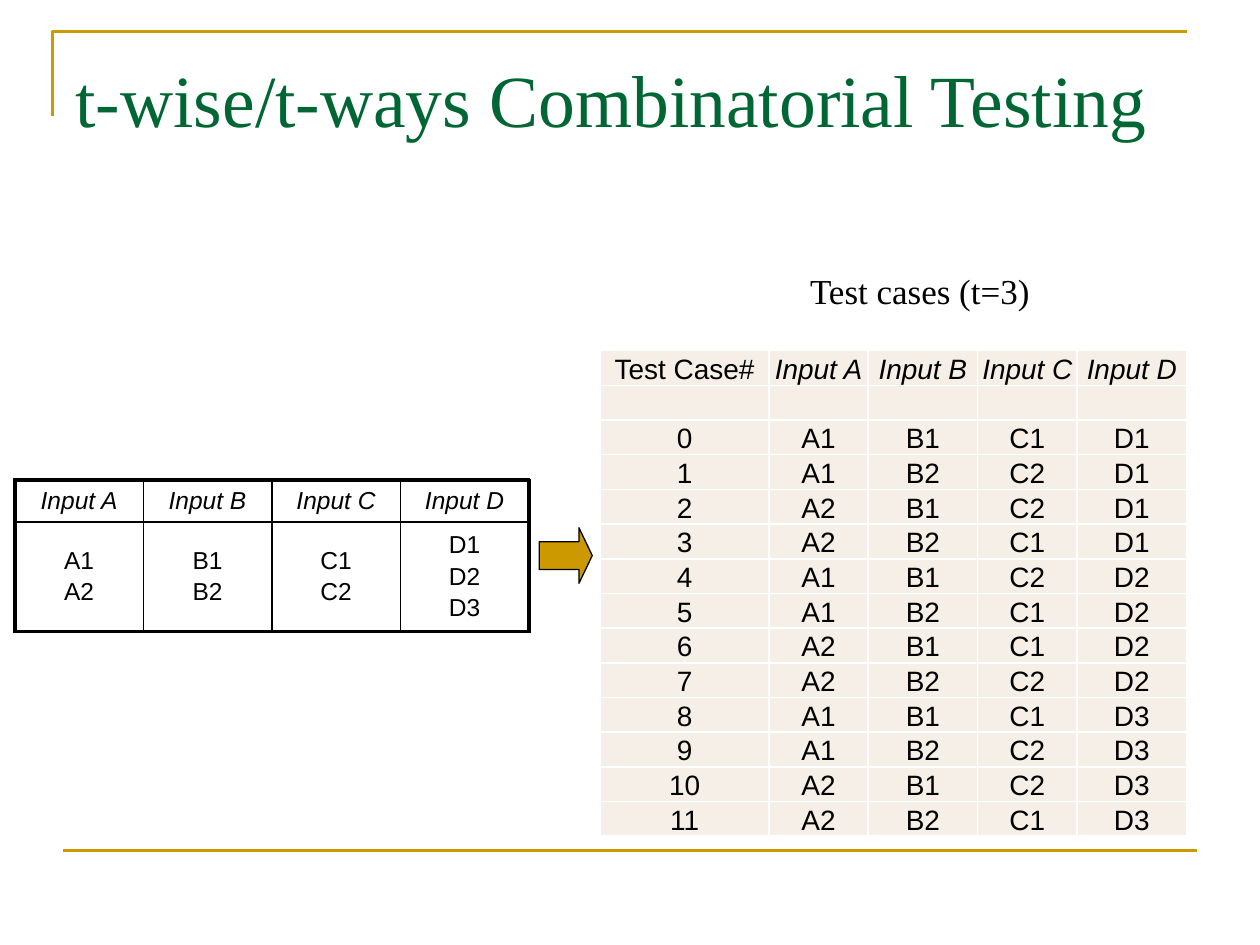
from lxml.etree import SubElement
from pptx import Presentation
from pptx.dml.color import RGBColor
from pptx.enum.shapes import MSO_CONNECTOR as Connector, MSO_SHAPE as Preset
from pptx.enum.text import MSO_ANCHOR as Anchor, MSO_AUTO_SIZE as AutoSize, PP_ALIGN as Align
from pptx.oxml.ns import qn
from pptx.util import Cm, Pt

GOLD = RGBColor(0xCC, 0x99, 0x00)
GREEN = RGBColor(0x00, 0x66, 0x33)
CREAM = RGBColor(0xF6, 0xEF, 0xE7)
BLACK = RGBColor(0x00, 0x00, 0x00)
WHITE = RGBColor(0xFF, 0xFF, 0xFF)
SERIF, SANS = "Times New Roman", "Arial"


def write(frame, text, size=16, font=SANS, color=BLACK, italic=False, align=Align.LEFT, gap=0):
    """Fill a text frame with one formatted paragraph per line of text."""
    for index, line in enumerate(text.split("\n")):
        paragraph = frame.add_paragraph() if index else frame.paragraphs[0]
        paragraph.alignment = align
        if index:
            paragraph.space_before = Pt(gap)
        if not line:
            SubElement(paragraph._p, qn("a:endParaRPr"), sz=str(size * 100))
            continue
        run = paragraph.add_run()
        run.text = line
        run.font.size, run.font.name = Pt(size), font
        run.font.italic = italic
        run.font.color.rgb = color


def draw_borders(cell, color, widths):
    """Draw the left, right, top and bottom borders of a table cell."""
    properties = cell._tc.get_or_add_tcPr()
    for side, width in zip("LRTB", widths):
        border = SubElement(properties, qn(f"a:ln{side}"), w=str(Pt(width)))
        fill = SubElement(border, qn("a:solidFill"))
        SubElement(fill, qn("a:srgbClr"), val=str(color))


class CombinatorialSlide:
    """Hold the line style and the current slide."""

    def __init__(self, slide, accent=GOLD, rule_width=1.5):
        self.slide = slide
        self.shapes = slide.shapes
        self.accent = accent
        self.rule_width = Pt(rule_width)

    def title(self, text, box):
        heading = self.shapes.title
        heading.left, heading.top, heading.width, heading.height = map(Cm, box)
        frame = heading.text_frame
        frame.auto_size, frame.vertical_anchor = AutoSize.NONE, Anchor.TOP
        frame.margin_top = Cm(0.33)
        write(frame, text, size=42, font=SERIF, color=GREEN)

    def corner(self, points):
        start, *rest = [(Cm(x), Cm(y)) for x, y in points]
        builder = self.shapes.build_freeform(*start)
        builder.add_line_segments(rest, close=False)
        bracket = builder.convert_to_shape()
        bracket.shadow.inherit = False
        bracket.fill.background()
        bracket.line.color.rgb, bracket.line.width = self.accent, self.rule_width

    def rule(self, left, right, y):
        footer = self.shapes.add_connector(Connector.STRAIGHT, Cm(left), Cm(y), Cm(right), Cm(y))
        footer.line.color.rgb, footer.line.width = self.accent, self.rule_width
        SubElement(footer._element.spPr, qn("a:effectLst"))

    def label(self, text, box):
        caption = self.shapes.add_textbox(*map(Cm, box)).text_frame
        caption.word_wrap, caption.auto_size = False, AutoSize.SHAPE_TO_FIT_TEXT
        write(caption, text, size=20, font=SERIF)

    def arrow(self, box):
        pointer = self.shapes.add_shape(Preset.RIGHT_ARROW, *map(Cm, box))
        pointer.adjustments[1] = 0.25
        pointer.shadow.inherit = False
        pointer.fill.solid()
        pointer.fill.fore_color.rgb = self.accent
        pointer.line.color.rgb, pointer.line.width = BLACK, Pt(0.75)

    def table(self, rows, origin, widths, heights, margins, anchor, fill=None,
              border=BLACK, inner=1, outer=1, **text_format):
        size = len(rows), len(widths)
        grid = self.shapes.add_table(*size, *map(Cm, origin), Cm(sum(widths)), Cm(sum(heights))).table
        grid.first_row = grid.horz_banding = False
        for column, width in zip(grid.columns, widths):
            column.width = Cm(width)
        for row, height in zip(grid.rows, heights):
            row.height = Cm(height)
        for r, values in enumerate(rows):
            for c, value in enumerate(values):
                cell = grid.cell(r, c)
                at_edge = c == 0, c == size[1] - 1, r == 0, r == size[0] - 1
                draw_borders(cell, border, [outer if edge else inner for edge in at_edge])
                if fill is None:
                    cell.fill.background()
                else:
                    cell.fill.solid()
                    cell.fill.fore_color.rgb = fill
                cell.vertical_anchor = anchor
                (cell.margin_left, cell.margin_top,
                 cell.margin_right, cell.margin_bottom) = map(Cm, margins)
                write(cell.text_frame, value, italic=value.startswith("Input"),
                      align=Align.CENTER, **text_format)


def covering_case(number):
    """Return one row of the three-way covering array."""
    d, a, b = number // 4, number // 2 % 2, number % 2
    levels = a, b, (a + b + d) % 2, d
    return [str(number)] + [f"{name}{level + 1}" for name, level in zip("ABCD", levels)]


def main():
    """Build the slide and save it."""
    deck = Presentation()
    deck.slide_width, deck.slide_height = Cm(25.4), Cm(19.05)
    page = CombinatorialSlide(deck.slides.add_slide(deck.slide_layouts[5]))
    inputs = [f"Input {name}" for name in "ABCD"]

    page.corner([(1.06, 2.33), (1.06, 0.64), (23.92, 0.64)])
    page.rule(1.27, 24.13, 17.15)
    page.title("t-wise/t-ways Combinatorial Testing", (1.27, 0.76, 22.86, 3.18))

    choices = ["A1\nA2", "B1\nB2", "C1\nC2", "D1\nD2\nD3"]
    page.table([inputs, choices], (0.3, 9.68), [2.59] * 4, [0.84, 2.21],
               margins=(0.25, 0.1, 0.25, 0.1), anchor=Anchor.MIDDLE, outer=2.25, size=14, gap=2.2)

    page.label("Test cases (t=3)", (16.08, 5.31, 4.98, 1.11))
    page.arrow((10.87, 10.64, 1.07, 1.12))

    cases = [covering_case(number) for number in range(12)]
    rows = [["Test Case#"] + inputs, [""] * 5] + cases
    page.table(rows, (12.1, 7.07), [3.4, 2, 2.21, 2, 2.21], [0.7] * len(rows),
               margins=(0.02, 0.02, 0.02, 0), anchor=Anchor.BOTTOM, fill=CREAM, border=WHITE)

    deck.save("out.pptx")


if __name__ == "__main__":
    main()
